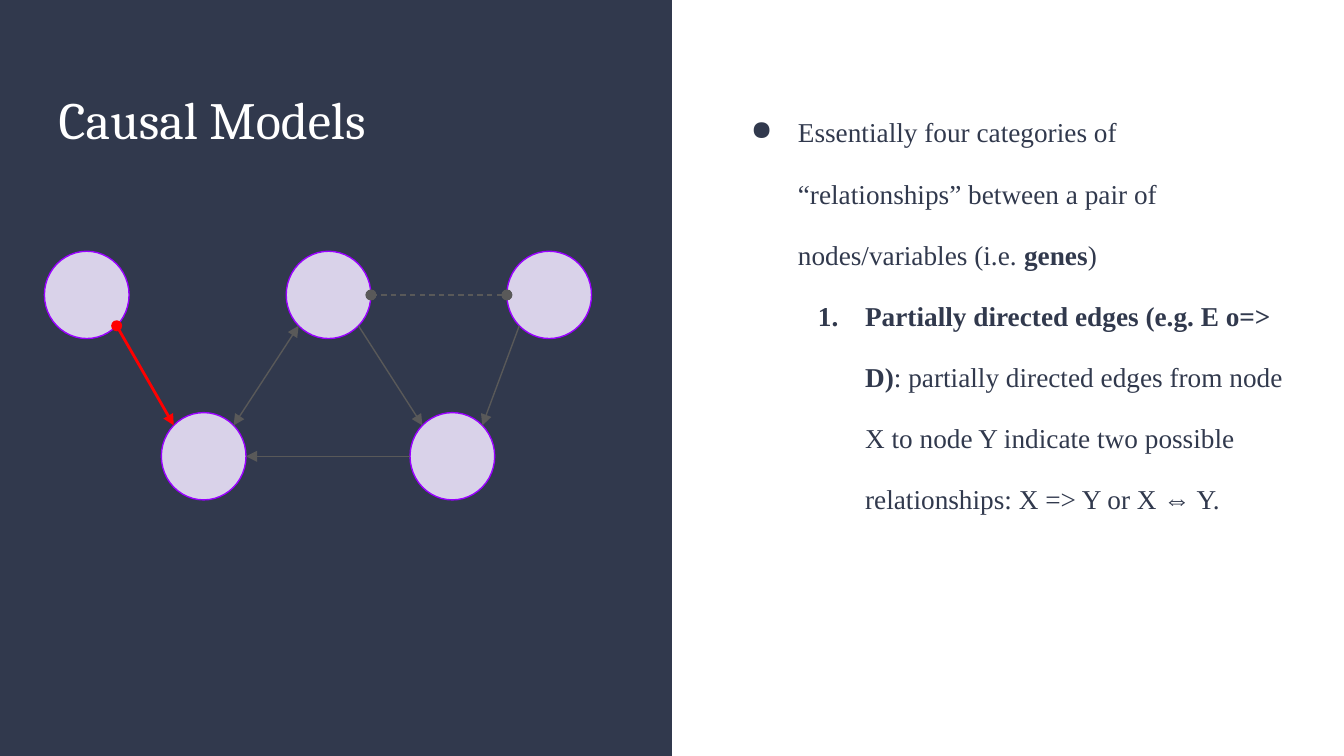
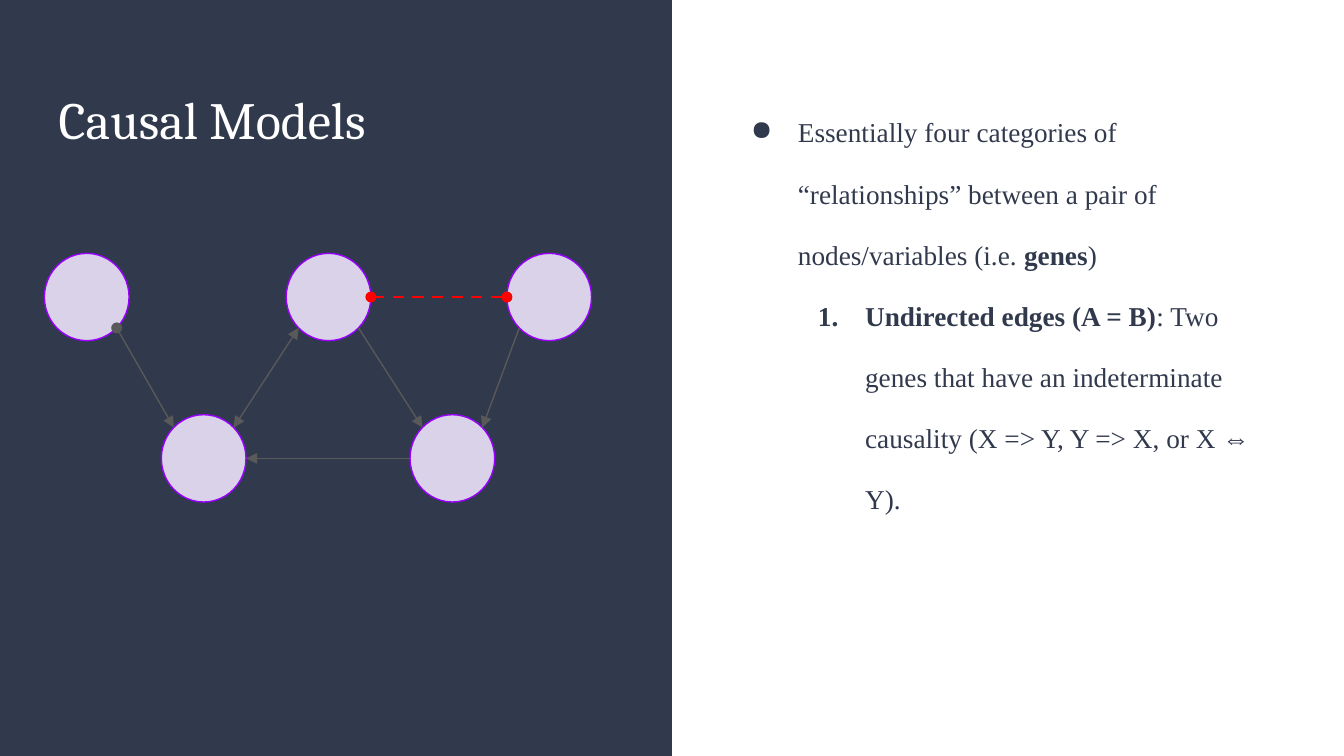
from dataclasses import dataclass
from math import cos, radians, sin

from lxml.etree import SubElement
from pptx import Presentation
from pptx.dml.color import RGBColor as Color
from pptx.enum.dml import MSO_LINE_DASH_STYLE as Dash
from pptx.enum.shapes import MSO_CONNECTOR as Connector, MSO_SHAPE as Shape
from pptx.oxml.ns import qn
from pptx.util import Cm, Pt


@dataclass(frozen=True)
class Theme:
    navy: Color = Color.from_string("31394D")
    white: Color = Color.from_string("FFFFFF")
    lilac: Color = Color.from_string("D9D2E9")
    violet: Color = Color.from_string("9900FF")
    gray: Color = Color.from_string("595959")
    red: Color = Color.from_string("FF0000")
    title_font: str = "Cambria"
    body_font: str = "Times New Roman"
    title_size: Pt = Pt(28)
    body_size: Pt = Pt(14.6)
    thin: Pt = Pt(0.75)
    thick: Pt = Pt(1.5)


theme = Theme()
SLIDE_WIDTH, SLIDE_HEIGHT = 25.4, 14.29
NODE_WIDTH, NODE_HEIGHT = 1.6, 1.65
UPPER_ROW, LOWER_ROW = 4.75, 7.8
NODES = [(0.84, UPPER_ROW), (3.05, LOWER_ROW), (5.41, UPPER_ROW),
         (7.75, LOWER_ROW), (9.58, UPPER_ROW)]
ANGLES = {"right": 0, "lower right": 45, "lower left": 135,
          "left": 180, "upper left": 225, "upper right": 315}
EDGES = {
    "partial": (0, "lower right", 1, "upper left", "oval", "triangle"),
    "mutual": (1, "upper right", 2, "lower left", "triangle", "triangle"),
    "inner": (2, "lower right", 3, "upper left", None, "triangle"),
    "lower": (3, "left", 1, "right", None, "triangle"),
    "undirected": (4, "left", 2, "right", "oval", "oval"),
    "outer": (4, "lower left", 3, "upper right", None, "triangle"),
}
INTRO = [
    ("Essentially four categories of “relationships” between a pair of nodes/variables (i.e. ", False),
    ("genes", True),
    (")", False),
]
SLIDES = [
    ("partial", 0, [
        ("Partially directed edges (e.g. E o=> D)", True),
        (": partially directed edges from node X to node Y indicate two possible "
         "relationships: X => Y or X ⇔ Y.", False),
    ]),
    ("undirected", 0.04, [
        ("Undirected edges (A = B)", True),
        (": Two genes that have an indeterminate causality (X => Y, Y => X, or X ⇔ Y).", False),
    ]),
]


def add_box(page, left, top, width, height):
    box = page.shapes.add_textbox(Cm(left), Cm(top), Cm(width), Cm(height))
    frame = box.text_frame
    frame.word_wrap = True
    frame.margin_left = frame.margin_right = Cm(0.25)
    frame.margin_top = frame.margin_bottom = Cm(0.25)
    return frame


def add_span(para, text, font, size, color, bold=False):
    span = para.add_run()
    span.text = text
    span.font.name = font
    span.font.size = size
    span.font.color.rgb = color
    span.font.bold = bold


deck = Presentation()
deck.slide_width, deck.slide_height = Cm(SLIDE_WIDTH), Cm(SLIDE_HEIGHT)

for highlight, shift, category in SLIDES:
    page = deck.slides.add_slide(deck.slide_layouts[6])
    page.background.fill.solid()
    page.background.fill.fore_color.rgb = theme.white

    panel = page.shapes.add_shape(
        Shape.RECTANGLE, 0, 0, Cm(SLIDE_WIDTH / 2), Cm(SLIDE_HEIGHT))
    panel.shadow.inherit = False
    panel.fill.solid()
    panel.fill.fore_color.rgb = theme.navy
    panel.line.fill.background()

    title = add_box(page, 0.86, 1.4, 10.29, 5.69)
    add_span(title.paragraphs[0], "Causal Models",
             theme.title_font, theme.title_size, theme.white)

    body = add_box(page, 13.56, 1.4, 10.97, 11.43)
    bullets = [
        (body.paragraphs[0], INTRO, 1.27, "a:buChar", {"char": "●"}),
        (body.add_paragraph(), category, 2.54, "a:buAutoNum", {"type": "arabicPeriod"}),
    ]
    for para, spans, margin, bullet, settings in bullets:
        para.line_spacing = 1.87
        properties = para._p.get_or_add_pPr()
        properties.set("marL", str(Cm(margin)))
        properties.set("indent", str(Cm(-0.89)))
        bullet_color = SubElement(properties, qn("a:buClr"))
        SubElement(bullet_color, qn("a:srgbClr"), val=str(theme.navy))
        SubElement(properties, qn(bullet), **settings)
        for text, bold in spans:
            add_span(para, text, theme.body_font, theme.body_size, theme.navy, bold)

    graph = page.shapes.add_group_shape()
    for left, top in NODES:
        node = graph.shapes.add_shape(
            Shape.OVAL, Cm(left), Cm(top + shift), Cm(NODE_WIDTH), Cm(NODE_HEIGHT))
        node.shadow.inherit = False
        node.fill.solid()
        node.fill.fore_color.rgb = theme.lilac
        node.line.color.rgb = theme.violet
        node.line.width = theme.thin

    for name, (source, start, target, end, head, tail) in EDGES.items():
        points = []
        for index, side in ((source, start), (target, end)):
            left, top = NODES[index]
            angle = radians(ANGLES[side])
            points += [Cm(left + NODE_WIDTH / 2 * (1 + cos(angle))),
                       Cm(top + shift + NODE_HEIGHT / 2 * (1 + sin(angle)))]
        edge = graph.shapes.add_connector(Connector.STRAIGHT, *points)
        edge.line.color.rgb = theme.red if name == highlight else theme.gray
        edge.line.width = theme.thick if name == highlight else theme.thin
        if name == "undirected":
            edge.line.dash_style = Dash.DASH
        outline = edge.line._get_or_add_ln()
        for tag, arrow in (("a:headEnd", head), ("a:tailEnd", tail)):
            if arrow:
                SubElement(outline, qn(tag), type=arrow)
        SubElement(edge._element.spPr, qn("a:effectLst"))

deck.save("out.pptx")
